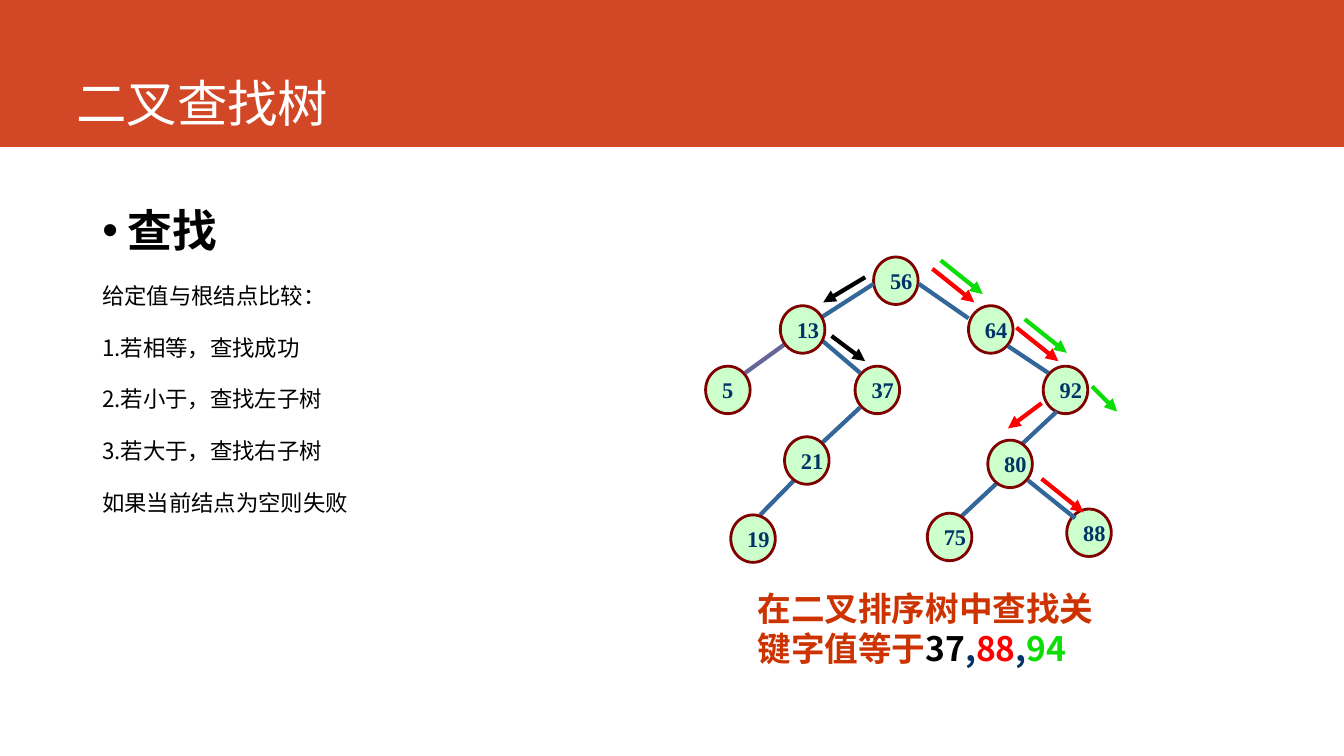
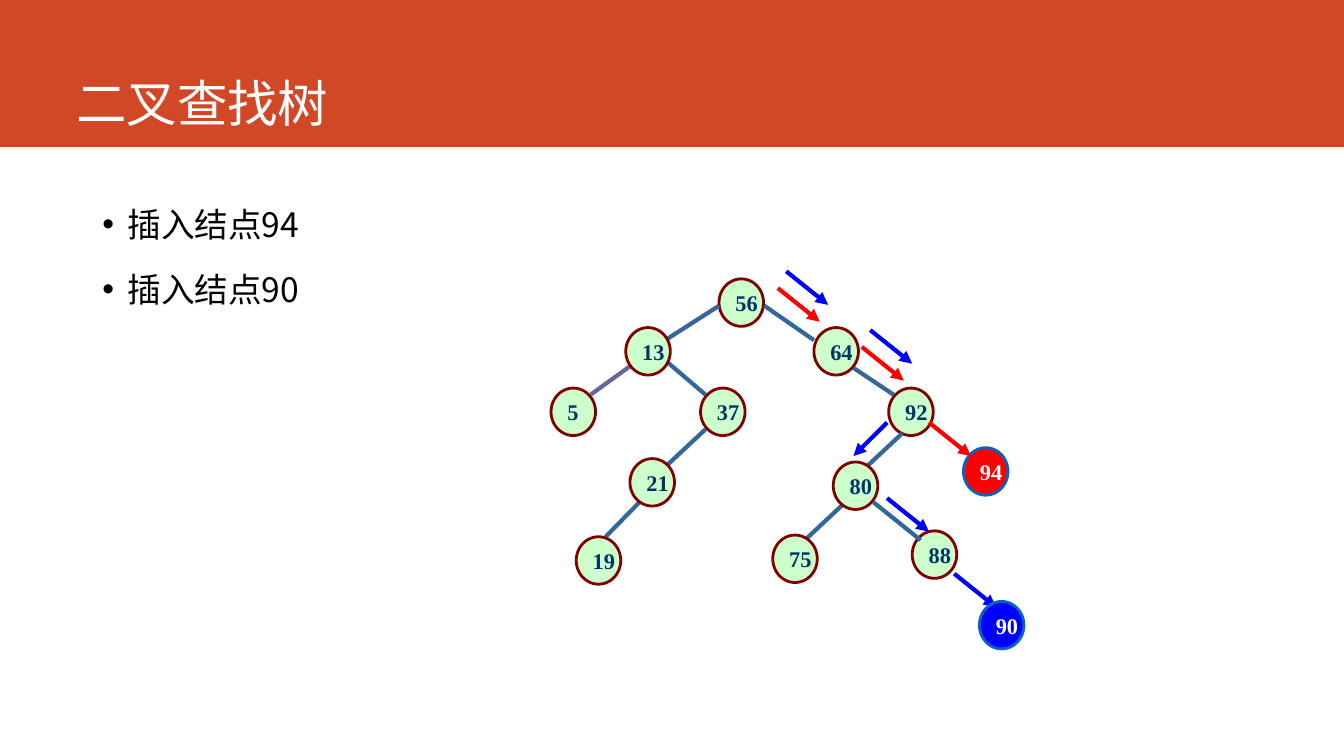
from pptx import Presentation
from pptx.dml.color import RGBColor
from pptx.enum.shapes import MSO_CONNECTOR as CONNECTOR, MSO_SHAPE as SHAPE
from pptx.enum.text import MSO_ANCHOR as ANCHOR, PP_ALIGN as ALIGN
from pptx.oxml.ns import qn
from pptx.util import Inches, Pt
from lxml.etree import SubElement

COLUMNS, ROWS = 160, 90
CELL = Inches(13.33) / COLUMNS
SANS, SERIF = "Noto Sans CJK SC", "Times New Roman"
ACCENT, WHITE, BLACK, RED = "D24726", "FFFFFF", "000000", "FF0000"
GREEN, BLUE, NAVY, RUST = "0CDD07", "0000FF", "003366", "CC3300"
EDGE, EDGE_ALT = "336699", "666699"
NODE_STYLE = ("CCFFCC", "800000", NAVY)
NODE_SIZE = (5.3, 5.65)

BACK_NODES = {"56": (20, 0), "64": (31.3, 5.8), "5": (0, 13),
              "92": (40.2, 13), "37": (17.8, 13), "88": (43, 30)}
FRONT_NODES = {"19": (3, 30.7), "80": (33.6, 21.8), "21": (9.4, 21.4),
               "13": (8.9, 5.8), "75": (26.4, 30.5)}
EDGES = [
    ((20, 3.2), (13.6, 7.3), EDGE),
    ((9.4, 10.4), (4.7, 13.8), EDGE_ALT),
    ((25.4, 3.2), (31.3, 7.3), EDGE),
    ((13.6, 9.7), (18.4, 13.8), EDGE),
    ((18.4, 17.9), (12.5, 23.4), EDGE),
    ((36, 10.6), (40.8, 13.8), EDGE),
    ((41.8, 18.4), (37.2, 22.7), EDGE),
    ((38.4, 26.6), (44, 31.1), EDGE),
    ((11.2, 25.9), (6.5, 30.7), EDGE),
    ((34.6, 27), (30, 31.3), EDGE),
]


def color(value):
    return RGBColor.from_string(value)


def grid(*lengths):
    return [round(length * CELL) for length in lengths]


def offset(origin, point):
    return origin[0] + point[0], origin[1] + point[1]


def style_run(run, size, hue, bold=False, name=SANS):
    font = run.font
    font.size, font.bold, font.name = Pt(size), bold, name
    font.color.rgb = color(hue)
    SubElement(run._r.get_or_add_rPr(), qn("a:ea"), typeface=name)


def add_text_frame(slide, box):
    text_frame = slide.shapes.add_textbox(*grid(*box)).text_frame
    text_frame.word_wrap = True
    return text_frame


def add_title(slide, box, title):
    left, top, width, height = box
    band = slide.shapes.add_shape(SHAPE.RECTANGLE, *grid(*box))
    band.shadow.inherit = False
    band.fill.solid()
    band.fill.fore_color.rgb = color(ACCENT)
    band.line.fill.background()
    text_frame = add_text_frame(slide, (left + 7.9, top, width - 18.8, height - 1.7))
    text_frame.vertical_anchor = ANCHOR.BOTTOM
    text_frame.margin_bottom = 0
    text_frame.text = title
    style_run(text_frame.paragraphs[0].runs[0], 36, WHITE)


def add_body(slide, box, items):
    text_frame = add_text_frame(slide, box)
    text_frame.text = "\n".join(text for text, *_ in items)
    for index, (paragraph, item) in enumerate(zip(text_frame.paragraphs, items)):
        _, size, bold, bullet = item
        if bullet:
            properties = paragraph._p.get_or_add_pPr()
            properties.set("marL", str(Inches(0.25)))
            properties.set("indent", str(-Inches(0.25)))
            SubElement(properties, qn("a:buFont"), typeface="Arial")
            SubElement(properties, qn("a:buChar"), char="•")
        paragraph.line_spacing = Pt(size * 1.125)
        paragraph.space_before = Pt(7 if index else 0)
        paragraph.space_after = Pt(12)
        style_run(paragraph.runs[0], size, BLACK, bold)


def add_caption(slide, box, parts):
    text_frame = add_text_frame(slide, box)
    text_frame.margin_top = Inches(0.08)
    paragraph = text_frame.paragraphs[0]
    paragraph.line_spacing = Pt(28.8)
    for text, hue in parts:
        run = paragraph.add_run()
        run.text = text
        style_run(run, 24, hue, True)


def add_node(parent, origin, place, key, style=NODE_STYLE):
    fill, line, text = style
    node = parent.shapes.add_shape(
        SHAPE.OVAL, *grid(*offset(origin, place), *NODE_SIZE))
    node.shadow.inherit = False
    node.fill.solid()
    node.fill.fore_color.rgb = color(fill)
    node.line.color.rgb = color(line)
    node.line.width = Pt(2)
    text_frame = node.text_frame
    text_frame.word_wrap = False
    text_frame.vertical_anchor = ANCHOR.MIDDLE
    text_frame.margin_right = 0
    text_frame.text = key
    paragraph = text_frame.paragraphs[0]
    paragraph.alignment = ALIGN.LEFT
    style_run(paragraph.runs[0], 16, text, True, SERIF)


def add_line(parent, origin, start, end, hue, arrow=False):
    line = parent.shapes.add_connector(
        CONNECTOR.STRAIGHT, *grid(*offset(origin, start), *offset(origin, end)))
    line.line.color.rgb = color(hue)
    line.line.width = Pt(3)
    if arrow:
        SubElement(line.line._get_or_add_ln(), qn("a:tailEnd"), type="triangle")
    SubElement(line._element.spPr, qn("a:effectLst"))


def add_tree(slide, origin):
    tree = slide.shapes.add_group_shape()
    for key, place in BACK_NODES.items():
        add_node(tree, origin, place, key)
    for start, end, hue in EDGES:
        add_line(tree, origin, start, end, hue)
    for key, place in FRONT_NODES.items():
        add_node(tree, origin, place, key)


def add_search_path(slide, origin, hue, steps):
    for start, step in steps:
        add_line(slide, origin, start, offset(start, step), hue, arrow=True)


def add_tree_slide(presentation, items):
    slide = presentation.slides.add_slide(presentation.slide_layouts[6])
    add_title(slide, (0, 0, COLUMNS, 17.5), "二叉查找树")
    add_body(slide, (11, 24, 58, 57), items)
    return slide


def build_search_slide(presentation):
    steps = ["给定值与根结点比较：", "1.若相等，查找成功", "2.若小于，查找左子树",
             "3.若大于，查找右子树", "如果当前结点为空则失败"]
    slide = add_tree_slide(presentation, [("查找", 32, True, True)]
                           + [(step, 16, False, False) for step in steps])
    origin = (84, 30.6)
    add_tree(slide, origin)
    add_caption(slide, (89, 69, 46, 11), [
        ("在二叉排序树中查找关键字值等于", RUST), ("37", BLACK), (",", NAVY),
        ("88", RED), (",", NAVY), ("94", GREEN)])
    add_search_path(slide, origin, BLACK, [((19, 2.4), (-5, 3)), ((15, 9.4), (4, 3))])
    add_search_path(slide, origin, RED, [
        ((27, 1.4), (5, 4)), ((37, 8.4), (5, 4)),
        ((40, 17.4), (-4, 3)), ((40, 26.4), (5, 4))])
    add_search_path(slide, origin, GREEN, [
        ((28, 0.4), (5, 4)), ((38, 7.4), (5, 4)), ((46, 15.4), (3, 3))])


def build_insert_slide(presentation):
    slide = add_tree_slide(presentation, [
        (f"插入结点{key}", 24, False, True) for key in (94, 90)])
    origin = (65.6, 33.2)
    outline = "0563C1"
    add_tree(slide, origin)
    add_node(slide, origin, (49.1, 20.1), "94", (RED, outline, WHITE))
    add_search_path(slide, origin, RED, [
        ((27, 1.1), (5, 4)), ((37, 8.1), (5, 4)), ((45, 17.1), (5, 4))])
    add_search_path(slide, origin, BLUE, [
        ((28, -0.9), (5, 4)), ((38, 6.1), (5, 4)), ((40, 17.1), (-4, 4)),
        ((40, 26.1), (5, 4)), ((48, 35.1), (5, 4))])
    add_node(slide, origin, (51, 38.4), "90", (BLUE, outline, WHITE))


def main():
    presentation = Presentation()
    presentation.slide_width, presentation.slide_height = grid(COLUMNS, ROWS)
    build_search_slide(presentation)
    build_insert_slide(presentation)
    presentation.save("out.pptx")


if __name__ == "__main__":
    main()
